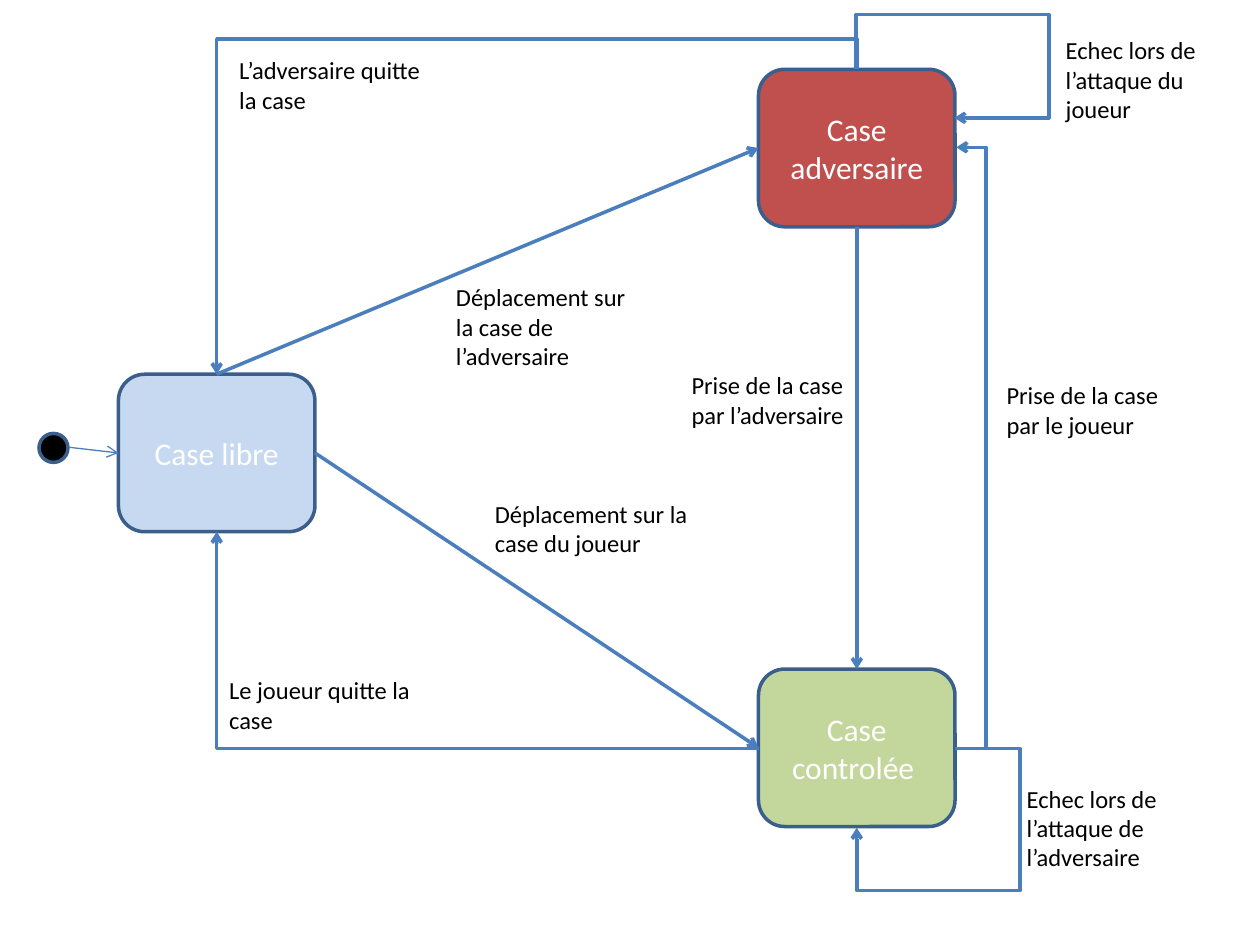
from lxml import etree
from pptx import Presentation
from pptx.dml.color import RGBColor
from pptx.enum import shapes, text
from pptx.oxml import ns
from pptx.util import Inches, Pt

RED = RGBColor(0xC0, 0x50, 0x4D)
PALE_BLUE = RGBColor(0xC6, 0xD9, 0xF1)
GREEN = RGBColor(0xC3, 0xD6, 0x9B)
OUTLINE = RGBColor(0x3A, 0x5F, 0x8C)
ARROW = RGBColor(0x4B, 0x7E, 0xBC)
BLACK = RGBColor(0, 0, 0)
WHITE = RGBColor(255, 255, 255)
STATE_SIZE = (1.56, 1.25)
TOP, LEFT, BOTTOM, RIGHT = range(4)


def write(frame, words, size=14, color=BLACK, align=text.PP_ALIGN.LEFT):
    frame.word_wrap = True
    para = frame.paragraphs[0]
    para.alignment = align
    span = para.add_run()
    span.text = words
    span.font.name = "Calibri"
    span.font.size = Pt(size)
    span.font.color.rgb = color


def add_node(page, kind, left, top, width, height, fill):
    node = page.shapes.add_shape(kind, *map(Inches, (left, top, width, height)))
    node.shadow.inherit = False
    node.fill.solid()
    node.fill.fore_color.rgb = fill
    node.line.color.rgb = OUTLINE
    node.line.width = Pt(2)
    return node


def add_state(page, words, left, top, fill):
    box = add_node(page, shapes.MSO_SHAPE.ROUNDED_RECTANGLE, left, top, *STATE_SIZE, fill)
    box.text_frame.vertical_anchor = text.MSO_ANCHOR.MIDDLE
    write(box.text_frame, words, size=18, color=WHITE, align=text.PP_ALIGN.CENTER)
    return box


def add_label(page, words, left, top, width, height):
    box = page.shapes.add_textbox(*map(Inches, (left, top, width, height)))
    box.text_frame.auto_size = text.MSO_AUTO_SIZE.SHAPE_TO_FIT_TEXT
    write(box.text_frame, words)


def add_arrow(page, kind, start=(0, 0), stop=(1, 1), source=None, target=None, weight=2):
    arrow = page.shapes.add_connector(kind, *map(Inches, (*start, *stop)))
    if source:
        arrow.begin_connect(*source)
    if target:
        arrow.end_connect(*target)
    arrow.line.color.rgb = ARROW
    arrow.line.width = Pt(weight)
    properties = arrow.element.spPr
    outline = properties.find(ns.qn("a:ln"))
    etree.SubElement(outline, ns.qn("a:tailEnd"), type="arrow")
    etree.SubElement(properties, ns.qn("a:effectLst"))
    return arrow


def add_straight(page, **options):
    return add_arrow(page, shapes.MSO_CONNECTOR.STRAIGHT, **options)


def add_elbow(page, preset, frame, source, target=None, turn=0, flips="", bends=()):
    arrow = add_arrow(page, shapes.MSO_CONNECTOR.ELBOW, source=source, target=target)
    arrow.left, arrow.top, arrow.width, arrow.height = map(Inches, frame)
    properties = arrow.element.spPr
    transform = properties.find(ns.qn("a:xfrm"))
    transform.set("rot", str(turn * 60000))
    for axis in "HV":
        transform.set("flip" + axis, str(int(axis in flips)))
    geometry = properties.find(ns.qn("a:prstGeom"))
    geometry.set("prst", preset)
    guides = geometry.find(ns.qn("a:avLst"))
    for number, bend in enumerate(bends, 1):
        etree.SubElement(guides, ns.qn("a:gd"), name=f"adj{number}",
                         fmla=f"val {round(bend * 100000)}")


def add_transitions(page, start, free, rival, owned):
    add_straight(page, start=(0.55, 3.55), stop=(0.94, 3.59), target=(free, LEFT), weight=0.75)
    for source, target in (
        ((free, TOP), (rival, LEFT)),
        ((rival, BOTTOM), (owned, TOP)),
        ((free, RIGHT), (owned, LEFT)),
    ):
        add_straight(page, source=source, target=target)

    add_elbow(page, "bentConnector2", (1.72, 4.22, 4.3, 1.72),
              (owned, LEFT), (free, BOTTOM), turn=180)
    add_elbow(page, "bentConnector3", (7.58, 1.17, 0.01, 4.77),
              (owned, RIGHT), (rival, RIGHT), flips="V", bends=(25,))
    add_elbow(page, "bentConnector3", (3.05, -0.78, 2.42, 5.08),
              (rival, TOP), (free, TOP), turn=270, flips="HV", bends=(-0.1,))
    add_elbow(page, "bentConnector4", (6.99, 0.35, 0.39, 0.78),
              (rival, TOP), turn=270, flips="H", bends=(-1.1, 1.96))
    add_elbow(page, "bentConnector4", (6.8, 5.94, 0.78, 0.63),
              (owned, RIGHT), (owned, BOTTOM), flips="H", bends=(-0.66, 1.79))


def main():
    deck = Presentation()
    deck.slide_width, deck.slide_height = Inches(10), Inches(7.5)
    page = deck.slides.add_slide(deck.slide_layouts[6])

    rival = add_state(page, "Case adversaire", 6.02, 0.55, RED)
    start = add_node(page, shapes.MSO_SHAPE.OVAL, 0.31, 3.44, 0.23, 0.23, BLACK)
    free = add_state(page, "Case libre", 0.94, 2.97, PALE_BLUE)
    owned = add_state(page, "Case controlée ", 6.02, 5.31, GREEN)
    add_transitions(page, start, free, rival, owned)

    for label in (
        ("Déplacement sur la case de l’adversaire", 3.52, 2.19, 1.72, 0.81),
        ("Déplacement sur la case du joueur", 3.83, 3.91, 1.8, 0.57),
        ("L’adversaire quitte la case", 1.8, 0.39, 1.64, 0.57),
        ("Le joueur quitte la case", 1.72, 5.31, 1.64, 0.57),
        ("Prise de la case par l’adversaire", 5.39, 2.89, 1.56, 0.57),
        ("Prise de la case par le joueur", 7.89, 2.97, 1.64, 0.57),
        ("Echec lors de l’attaque du joueur", 8.36, 0.23, 1.64, 0.81),
        ("Echec lors de l’attaque de l’adversaire", 8.05, 6.17, 1.8, 0.81),
    ):
        add_label(page, *label)
    deck.save("out.pptx")


main()
